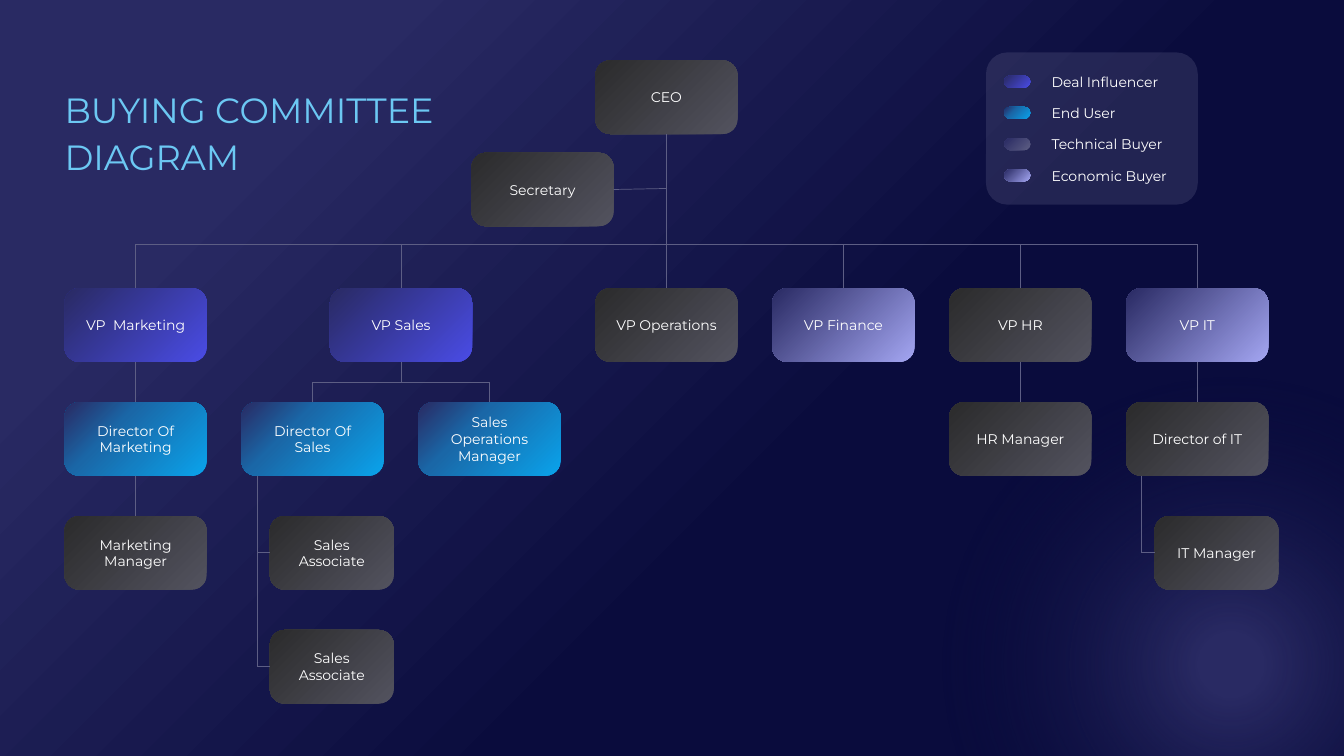
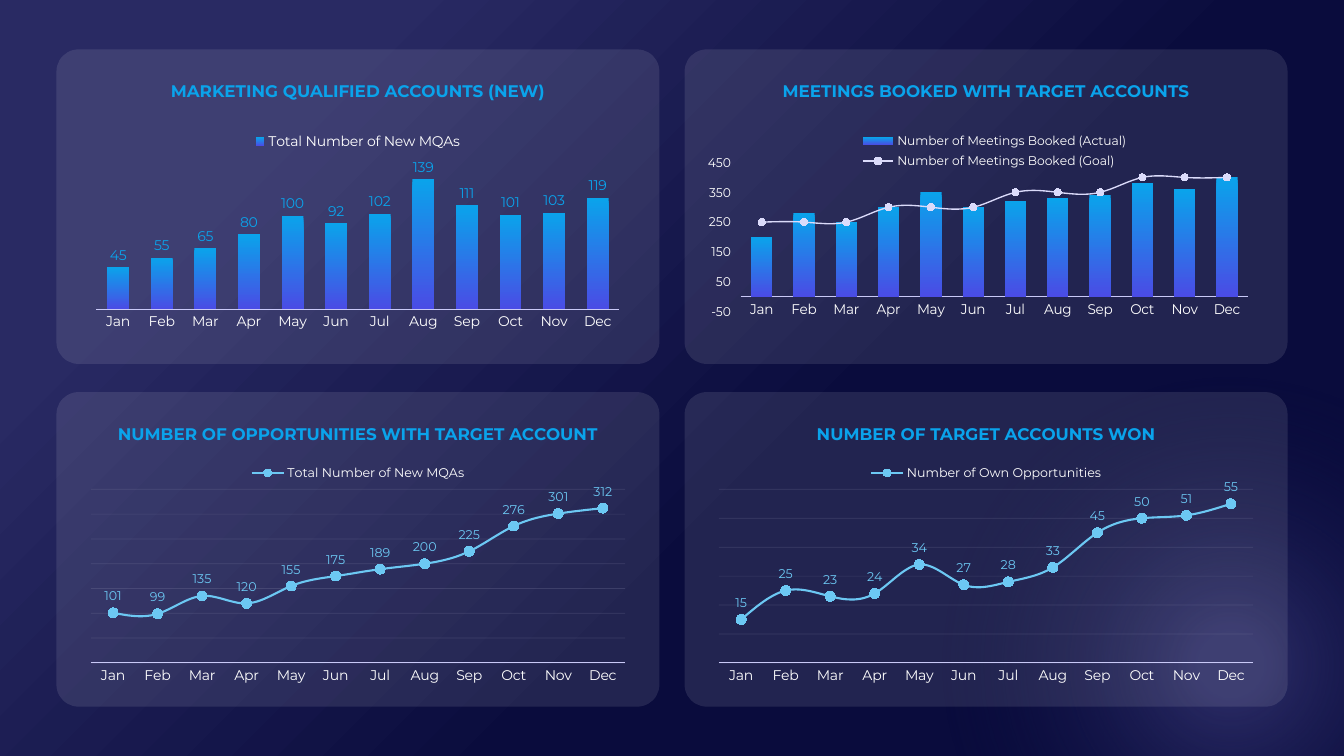
"""Build a buying committee chart and a four-panel account dashboard."""
from lxml import etree
from pptx import Presentation
from pptx.chart.data import CategoryChartData
from pptx.chart.plot import BarPlot
from pptx.dml.color import RGBColor
from pptx.enum.chart import (XL_CHART_TYPE, XL_LABEL_POSITION, XL_LEGEND_POSITION,
                             XL_MARKER_STYLE, XL_TICK_MARK)
from pptx.enum.shapes import MSO_CONNECTOR, MSO_SHAPE
from pptx.enum.text import MSO_ANCHOR, PP_ALIGN
from pptx.oxml import parse_xml
from pptx.oxml.ns import nsdecls, qn
from pptx.util import Inches, Pt

ROUND, OVAL, STRAIGHT = MSO_SHAPE.ROUNDED_RECTANGLE, MSO_SHAPE.OVAL, MSO_CONNECTOR.STRAIGHT
LEFT, CENTER = PP_ALIGN.LEFT, PP_ALIGN.CENTER
TOP, MIDDLE = MSO_ANCHOR.TOP, MSO_ANCHOR.MIDDLE
COLUMN, LINE = XL_CHART_TYPE.COLUMN_CLUSTERED, XL_CHART_TYPE.LINE_MARKERS
ABOVE, OUTER = XL_LABEL_POSITION.ABOVE, XL_LABEL_POSITION.OUTSIDE_END
LEGEND_TOP, CIRCLE, NO_TICK = XL_LEGEND_POSITION.TOP, XL_MARKER_STYLE.CIRCLE, XL_TICK_MARK.NONE


class Theme:
    font = "Montserrat"
    white, sky, blue = "FFFFFF", "6CC8F3", "0AA3EB"
    navy, night, indigo = "292A63", "0A0C3D", "4A4CE5"
    rule, axis, goal, mist = "5D5E84", "C9C9F7", "DBDBFA", "8485A8"
    title, head, chart, body, small = 25, 12, 11, 10, 9
    plain = (0, "2B2B2C"), (100, "53535F")
    deal = (0, navy), (100, indigo)
    user = (0, navy), (35, "1A67A7"), (100, blue)
    tech = (0, navy), (100, rule)
    econ = (0, navy), (100, "A4A6F2")


def paint(fill, host, *stops, focus=(0, 0, 100, 100), angle=None):
    """Fill with stops of (position, colour[, alpha]); a single stop is solid."""
    if len(stops) == 1:
        fill.solid()
        fill.fore_color.rgb = RGBColor.from_string(stops[0][1])
        tint = next(host.iter(qn("a:srgbClr")))
        etree.SubElement(tint, qn("a:alpha"), val=str(stops[0][2] * 1000))
        return
    fill.gradient()
    grad = next(host.iter(qn("a:gradFill")))
    grad.clear()
    list_ = etree.SubElement(grad, qn("a:gsLst"))
    for pos, color, *alpha in stops:
        stop = etree.SubElement(list_, qn("a:gs"), pos=str(pos * 1000))
        tint = etree.SubElement(stop, qn("a:srgbClr"), val=color)
        for value in alpha:
            etree.SubElement(tint, qn("a:alpha"), val=str(value * 1000))
    if angle is not None:
        etree.SubElement(grad, qn("a:lin"), ang=str(angle * 60000), scaled="0")
        return
    ring = etree.SubElement(grad, qn("a:path"))
    ring.set("path", "circle")
    sides = {side: str(part * 1000) for side, part in zip("ltrb", focus)}
    etree.SubElement(ring, qn("a:fillToRect"), **sides)


def write(frame, *lines, size=Theme.body, color=Theme.white, bold=False, align=LEFT,
          anchor=TOP, pad=(0.1, 0.05), wrap=True, pitch=None):
    """Write one paragraph per line; pad holds the left and top insets."""
    frame.word_wrap = wrap
    frame.vertical_anchor = anchor
    frame.margin_left, frame.margin_top = Inches(pad[0]), Inches(pad[1])
    for i, line in enumerate(lines):
        para = frame.add_paragraph() if i else frame.paragraphs[0]
        para.alignment = align
        if pitch:
            para.line_spacing = Pt(pitch)
        run = para.add_run()
        run.text = line
        font = run.font
        font.name, font.size, font.bold = Theme.font, Pt(size), bold
        font.color.rgb = RGBColor.from_string(color)


prs = Presentation()
prs.slide_width, prs.slide_height = Inches(13.33), Inches(7.5)
layout = prs.slide_layouts[6]
tree, board = prs.slides.add_slide(layout), prs.slides.add_slide(layout)

paint(layout.background.fill, layout.element, (19, Theme.navy), (60, Theme.night))
glow = tree.shapes.add_shape(OVAL, Inches(9.35), Inches(3.75), Inches(5.7), Inches(5.68))
glow.shadow.inherit = False
glow.line.fill.background()
paint(glow.fill, glow.element, (8, Theme.navy), (71, Theme.night, 0), focus=(50, 50, 50, 50))
layout.shapes.element.append(glow.element)

title = tree.shapes.add_textbox(Inches(0.64), Inches(0.77), Inches(3.91), Inches(1.02))
write(title.text_frame, "BUYING COMMITTEE", "DIAGRAM", size=Theme.title,
      color=Theme.sky, pad=(0, 0.05), wrap=False, pitch=34)
for para in title.text_frame.paragraphs:
    for run in para.runs:
        paint(run.font.fill, run._r, (0, Theme.sky), (64, Theme.blue))

EDGE, HEAD, STEP, DROP = 0.64, 2.86, 10.53 / 6, 1.13
WIDE, SLIM, TALL = 1.41, 1.23, 0.73
staff = [
    ("CEO", 3, -2, WIDE, Theme.plain),
    ("Secretary", 2.3, -1.19, WIDE, Theme.plain),
    ("VP  Marketing", 0, 0, WIDE, Theme.deal),
    ("VP Sales", 1.5, 0, WIDE, Theme.deal),
    ("VP Operations", 3, 0, WIDE, Theme.plain),
    ("VP Finance", 4, 0, WIDE, Theme.econ),
    ("VP HR", 5, 0, WIDE, Theme.plain),
    ("VP IT", 6, 0, WIDE, Theme.econ),
    ("Director Of Marketing", 0, 1, WIDE, Theme.user),
    ("Director Of Sales", 1, 1, WIDE, Theme.user),
    ("Sales Operations Manager", 2, 1, WIDE, Theme.user),
    ("HR Manager", 5, 1, WIDE, Theme.plain),
    ("Director of IT", 6, 1, WIDE, Theme.plain),
    ("Marketing Manager", 0, 2, WIDE, Theme.plain),
    ("Sales Associate", 1.16, 2, SLIM, Theme.plain),
    ("IT Manager", 6.16, 2, SLIM, Theme.plain),
    ("Sales Associate", 1.16, 3, SLIM, Theme.plain),
]
cards = {}
for role, col, row, width, stops in staff:
    card = tree.shapes.add_shape(ROUND, Inches(EDGE + STEP * col), Inches(HEAD + DROP * row),
                                 Inches(width), Inches(TALL))
    card.adjustments[0] = 0.2
    card.shadow.inherit = False
    card.line.fill.background()
    paint(card.fill, card.element, *stops)
    write(card.text_frame, role, align=CENTER, anchor=MIDDLE)
    cards[col, row] = card

mids = {col: EDGE + STEP * col + WIDE / 2 for col in (0, 1, 1.5, 2, 3, 4, 5, 6)}
BUS, FORK = 2.42, 3.79
links = [
    (cards[3, -2], 2, cards[3, 0], 0),
    (mids[3], 1.87, cards[2.3, -1.19], 3),
    (mids[0], BUS, mids[6], BUS),
    (cards[1.5, 0], 2, mids[1.5], FORK),
    (mids[1], FORK, mids[2], FORK),
    (2.55, 4.72, 2.55, 6.62),
    (11.32, 4.72, 11.32, 5.49),
]
links += [(mids[col], BUS, cards[col, 0], 0) for col in (0, 1.5, 4, 5, 6)]
links += [(mids[col], FORK, cards[col, 1], 0) for col in (1, 2)]
links += [(cards[col, row], 2, cards[col, row + 1], 0)
          for col, row in ((0, 0), (0, 1), (5, 0), (6, 0))]
links += [(x, HEAD + DROP * row + TALL / 2, cards[col, row], 1)
          for x, col, row in ((2.55, 1.16, 2), (2.55, 1.16, 3), (11.32, 6.16, 2))]
for start, a, end, b in links:
    line = tree.shapes.add_connector(STRAIGHT, 0, 0, 0, 0)
    if isinstance(start, float):
        line.begin_x, line.begin_y = Inches(start), Inches(a)
    else:
        line.begin_connect(start, a)
    if isinstance(end, float):
        line.end_x, line.end_y = Inches(end), Inches(b)
    else:
        line.end_connect(end, b)
    line.line.color.rgb = RGBColor.from_string(Theme.rule)
    line.line.width = Pt(0.5)
    etree.SubElement(line.element.spPr, qn("a:effectLst"))

key = tree.shapes.add_shape(ROUND, Inches(9.78), Inches(0.52), Inches(2.1), Inches(1.51))
key.adjustments[0] = 0.14
key.shadow.inherit = False
key.line.fill.background()
paint(key.fill, key.element, (0, Theme.mist, 20))
kinds = [("Deal Influencer", Theme.deal), ("End User", Theme.user),
         ("Technical Buyer", Theme.tech), ("Economic Buyer", Theme.econ)]
for i, (name, stops) in enumerate(kinds):
    pill = tree.shapes.add_shape(ROUND, Inches(9.96), Inches(0.75 + 0.31 * i),
                                 Inches(0.26), Inches(0.12))
    pill.adjustments[0] = 0.5
    pill.shadow.inherit = False
    pill.line.fill.background()
    paint(pill.fill, pill.element, *stops)
    label = tree.shapes.add_textbox(Inches(10.23), Inches(0.68 + 0.31 * i),
                                    Inches(1.47), Inches(0.27))
    write(label.text_frame, name, pad=(0.2, 0.05), wrap=False)

MONTHS = "Jan Feb Mar Apr May Jun Jul Aug Sep Oct Nov Dec".split()
panels = [
    dict(head="MARKETING QUALIFIED ACCOUNTS (NEW)", kind=COLUMN, span=(0, 140, 20),
         legend=Theme.body, overlap=-27, plot=(0.03, 0.25, 0.94, 0.58),
         data={"Total Number of New MQAs":
               (45, 55, 65, 80, 100, 92, 102, 139, 111, 101, 103, 119)}),
    dict(head="MEETINGS BOOKED WITH TARGET ACCOUNTS", kind=COLUMN, span=(-50, 450, 100),
         legend=Theme.small, overlap=0, plot=(0.03, 0.18, 0.94, 0.66),
         data={"Number of Meetings Booked (Actual)":
               (200, 280, 250, 300, 350, 300, 320, 330, 340, 380, 360, 400),
               "Number of Meetings Booked (Goal)":
               (250, 250, 250, 300, 300, 300, 350, 350, 350, 400, 400, 400)}),
    dict(head="NUMBER OF OPPORTUNITIES WITH TARGET ACCOUNT", kind=LINE, span=(0, 350, 50),
         legend=Theme.small,
         data={"Total Number of New MQAs":
               (101, 99, 135, 120, 155, 175, 189, 200, 225, 276, 301, 312)}),
    dict(head="NUMBER OF TARGET ACCOUNTS WON", kind=LINE, span=(0, 60, 10),
         legend=Theme.small,
         data={"Number of Own Opportunities":
               (15, 25, 23, 24, 34, 27, 28, 33, 45, 50, 51, 55)}),
]
for i, item in enumerate(panels):
    x, y = 0.56 + 6.23 * (i % 2), 0.49 + 3.4 * (i // 2)
    panel = board.shapes.add_shape(ROUND, Inches(x), Inches(y), Inches(5.98), Inches(3.12))
    panel.adjustments[0] = 0.07
    panel.shadow.inherit = False
    panel.line.fill.background()
    paint(panel.fill, panel.element, (0, Theme.white, 10))
    write(panel.text_frame, item["head"], size=Theme.head, color=Theme.blue, bold=True,
          align=CENTER, pad=(0.1, 0.25))

    bars, combo = item["kind"] == COLUMN, len(item["data"]) > 1
    data = CategoryChartData()
    data.categories = MONTHS
    for name, values in item["data"].items():
        data.add_series(name, values)
    down, tall = (0.72, 2.24) if bars else (0.61, 2.33)
    chart = board.shapes.add_chart(item["kind"], Inches(x + 0.23), Inches(y + down),
                                   Inches(5.52), Inches(tall), data).chart
    chart.has_title = False
    chart.has_legend = True
    chart.legend.position = LEGEND_TOP
    chart.legend.include_in_layout = False
    cat, val = chart.category_axis, chart.value_axis
    for font, size in ((chart.font, Theme.chart), (chart.legend.font, item["legend"]),
                       (cat.tick_labels.font, Theme.body), (val.tick_labels.font, Theme.small)):
        font.name, font.size = Theme.font, Pt(size)
        font.color.rgb = RGBColor.from_string(Theme.white)
    cat.major_tick_mark = NO_TICK
    cat.format.line.color.rgb = RGBColor.from_string(Theme.axis)
    cat.format.line.width = Pt(0.75)
    val.minimum_scale, val.maximum_scale, val.major_unit = item["span"]
    val.format.line.fill.background()
    val.has_major_gridlines = not bars
    val.visible = combo
    if not bars:
        grid = val.major_gridlines.format.line
        grid.width = Pt(0.5)
        paint(grid.fill, val._element, (0, Theme.mist, 25))

    if bars:
        plot = chart.plots[0]
        plot.gap_width, plot.overlap = 99, item["overlap"]
        area = next(chart.element.iter(qn("c:plotArea")))
        for old in area.findall(qn("c:layout")):
            area.remove(old)
        spots = "".join(f'<c:{tag} val="{part}"/>' for tag, part in zip("xywh", item["plot"]))
        area.insert(0, parse_xml(
            f'<c:layout {nsdecls("c")}><c:manualLayout><c:layoutTarget val="inner"/>'
            f'<c:xMode val="edge"/><c:yMode val="edge"/>{spots}</c:manualLayout></c:layout>'))
    if combo:
        group = area.find(qn("c:barChart"))
        goal = group.findall(qn("c:ser"))[1]
        for flag in goal.findall(qn("c:invertIfNegative")):
            goal.remove(flag)
        curve = parse_xml(f'<c:lineChart {nsdecls("c")}><c:grouping val="standard"/>'
                          '<c:varyColors val="0"/><c:marker val="1"/></c:lineChart>')
        curve.insert(2, goal)
        for axis in group.findall(qn("c:axId")):
            etree.SubElement(curve, qn("c:axId"), val=axis.get("val"))
        group.addnext(curve)

    hue, thick, dot = (Theme.goal, 1, 5) if combo else (Theme.sky, 1.5, 7)
    for plot in chart.plots:
        plot.vary_by_categories = False
        for ser in plot.series:
            if isinstance(plot, BarPlot):
                paint(ser.format.fill, ser._element, (0, Theme.blue), (100, Theme.indigo),
                      angle=90)
            else:
                ser.smooth = True
                ser.format.line.color.rgb = RGBColor.from_string(hue)
                ser.format.line.width = Pt(thick)
                ser.marker.style, ser.marker.size = CIRCLE, dot
                ser.marker.format.fill.solid()
                ser.marker.format.fill.fore_color.rgb = RGBColor.from_string(hue)
                ser.marker.format.line.fill.background()
            if not combo:
                tags = ser.data_labels
                tags.show_value = True
                tags.position = OUTER if bars else ABOVE
                tags.font.name = Theme.font
                tags.font.size = Pt(Theme.body if bars else Theme.small)
                tags.font.color.rgb = RGBColor.from_string(Theme.blue if bars else Theme.sky)

prs.save("out.pptx")
